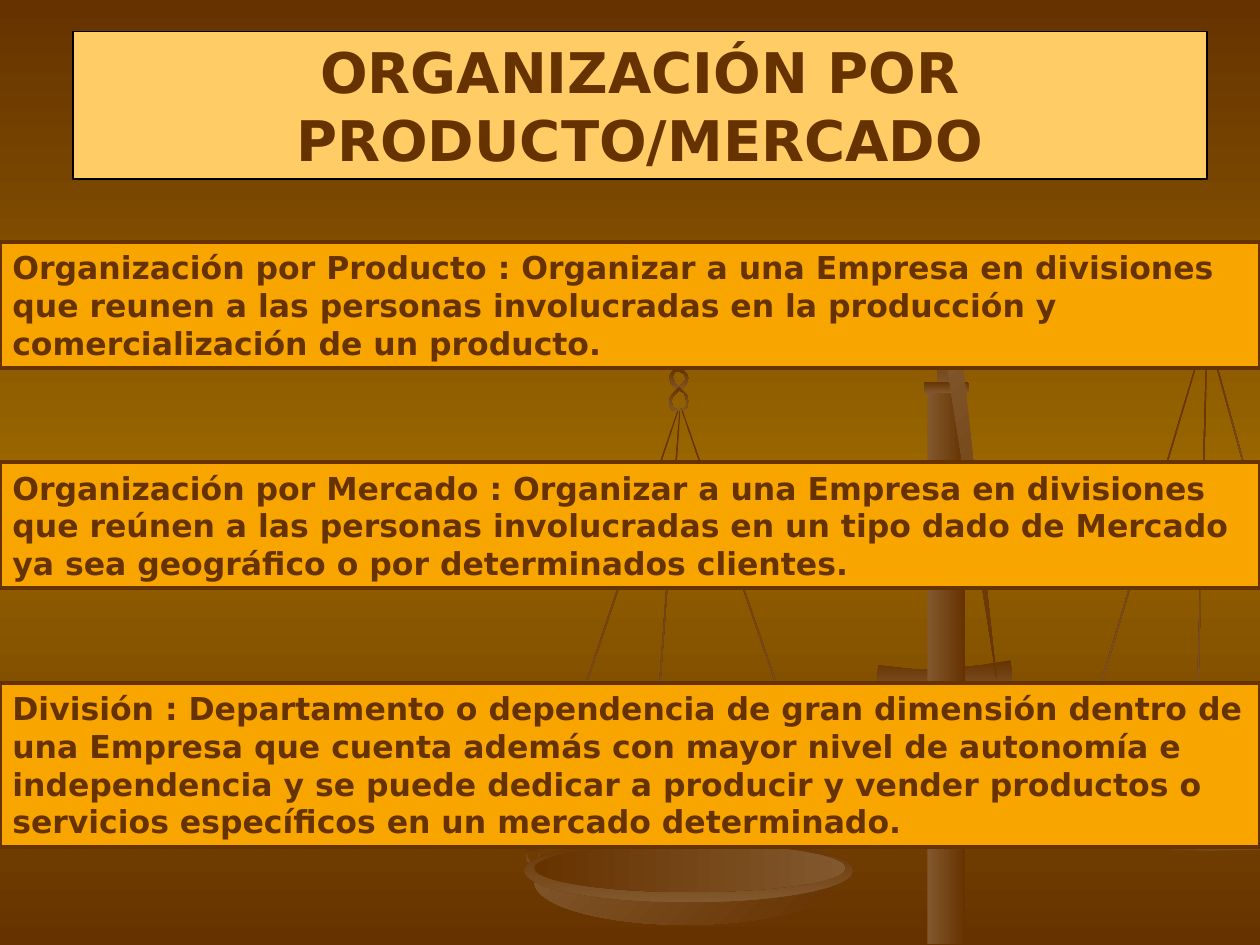
from copy import deepcopy

from pptx import Presentation
from pptx import util as u
from pptx.dml.color import RGBColor
from pptx.enum import shapes, text
from pptx.oxml.ns import qn

PX = u.Inches(1) // 100  # 100 px to the inch
FONT = "DejaVu Sans"
COLORS = {
    "brown": "663300", "tan": "82582E", "olive": "996600",
    "cream": "FFCC66", "orange": "F8A500", "black": "000000",
}
RGB = {name: RGBColor.from_string(value) for name, value in COLORS.items()}
KIND = shapes.MSO_SHAPE


def shade(shape, first, last, angle):
    """Fill with a two-colour gradient; the angle runs clockwise."""
    shape.shadow.inherit = False
    shape.line.fill.background()
    shape.fill.gradient()
    shape.fill.gradient_angle = (360 - angle) % 360
    for stop, name in zip(shape.fill.gradient_stops, (first, last)):
        stop.color.rgb = RGB[name]


def write_box(box, words, size, align, fill, line, width):
    """Style a filled text box and write its one paragraph."""
    box.fill.solid()
    box.fill.fore_color.rgb = RGB[fill]
    box.line.color.rgb = RGB[line]
    box.line.width = u.Pt(width)
    frame = box.text_frame
    frame.text = words
    frame.word_wrap = True
    frame.auto_size = text.MSO_AUTO_SIZE.SHAPE_TO_FIT_TEXT
    frame.vertical_anchor = text.MSO_ANCHOR.TOP
    para = frame.paragraphs[0]
    para.alignment = align
    para.font.name = FONT
    para.font.size = u.Pt(size)
    para.font.bold = True
    para.font.color.rgb = RGB["brown"]


deck = Presentation()
deck.slide_width, deck.slide_height = 1000 * PX, 750 * PX
page = deck.slides.add_slide(deck.slide_layouts[5])

# Background: dark at the top and bottom, lighter in the middle
backdrop = page.background.fill
backdrop.gradient()
backdrop.gradient_angle = 270
stop_list = next(page.background._cSld.iter(qn("a:gsLst")))
stop_list.append(deepcopy(stop_list[-1]))
for stop, place, name in zip(backdrop.gradient_stops, (0, 0.5, 1),
                             ("brown", "olive", "brown")):
    stop.position = place
    stop.color.rgb = RGB[name]

# Scales: cords (left, top, height, rotation)
cords = [
    (904, 260, 360, 16.6), (953, 266, 347, 1.5), (979, 264, 153, 344.6),
    (598, 315, 353, 341), (479, 316, 368, 18.6), (527, 325, 331, 4.2),
]
for left, top, height, turn in cords:
    cord = page.shapes.add_shape(KIND.RECTANGLE, left * PX, top * PX, PX, height * PX)
    cord.rotation = turn
    shade(cord, "brown", "tan", 90)

# Scales: crossbar, right bowl and chain rings (angle, outlines)
outlines = [
    (90, [[(697, 528), (724, 531), (739, 531), (757, 530), (778, 528), (802, 524),
           (804, 544), (782, 548), (768, 551), (751, 552), (733, 552), (714, 551),
           (696, 547)]]),
    (315, [[(831, 633), (835, 642), (842, 649), (852, 657), (865, 663), (882, 668),
            (903, 672), (928, 674), (957, 675), (1000, 674), (1000, 643), (953, 643),
            (918, 642), (886, 640), (857, 637)]]),
    (90, [[(539, 310), (544, 306), (546, 302), (547, 300), (546, 298), (543, 294),
           (538, 293), (535, 293), (533, 295), (531, 300), (533, 305), (536, 308)],
          [(539, 295), (543, 297), (544, 300), (544, 302), (539, 307), (536, 305),
           (535, 302), (534, 299), (536, 295)]]),
    (90, [[(531, 323), (535, 326), (540, 326), (545, 324), (547, 319), (546, 314),
           (543, 311), (539, 307), (535, 311), (532, 315), (531, 318)],
          [(533, 318), (534, 315), (536, 313), (539, 310), (543, 312), (544, 315),
           (545, 319), (545, 322), (543, 324), (538, 325), (534, 323)]]),
    (90, [[(429, 688), (429, 678), (427, 674), (423, 672), (419, 674), (417, 678),
           (418, 683), (422, 686), (426, 688)],
          [(421, 675), (426, 675), (427, 679), (427, 686), (421, 684), (419, 681),
           (419, 677)]]),
]
for angle, contours in outlines:
    pen = page.shapes.build_freeform(*contours[0][0], scale=PX)
    for number, points in enumerate(contours):
        if number:
            pen.move_to(*points[0])
        pen.add_line_segments(points[1:], close=True)
    shade(pen.convert_to_shape(), "brown", "tan", angle)

# Scales: left bowl and post
solids = [
    (KIND.OVAL, 424, 666, 240, 68, "tan", "brown", 45),
    (KIND.OVAL, 416, 666, 261, 50, "brown", "tan", 90),
    (KIND.OVAL, 424, 670, 247, 38, "brown", "tan", 0),
    (KIND.RECTANGLE, 736, 308, 30, 441, "tan", "brown", 0),
    (KIND.RECTANGLE, 744, 268, 13, 42, "brown", "tan", 90),
    (KIND.ROUNDED_RECTANGLE, 733, 303, 36, 9, "brown", "tan", 90),
]
for kind, left, top, width, height, first, last, angle in solids:
    solid = page.shapes.add_shape(kind, left * PX, top * PX, width * PX, height * PX)
    shade(solid, first, last, angle)

# Scales: pointer in front of the post
pen = page.shapes.build_freeform(791, 539, scale=PX)
pen.add_line_segments([(750, 280), (750, 276), (748, 268), (760, 265), (761, 274),
                       (763, 277)], close=True)
shade(pen.convert_to_shape(), "tan", "brown", 45)

# Title
title = page.shapes.title
title.left, title.top, title.width, title.height = 58 * PX, 25 * PX, 900 * PX, 117 * PX
write_box(title, "ORGANIZACIÓN POR PRODUCTO/MERCADO", 32, text.PP_ALIGN.CENTER,
          "cream", "black", 0.75)

# Definitions, one every 175 px
definitions = [
    (100, "Organización por Producto : Organizar a una Empresa en divisiones que reunen "
          "a las personas involucradas en la producción y comercialización de un producto."),
    (100, "Organización por Mercado : Organizar a una Empresa en divisiones que reúnen "
          "a las personas involucradas en un tipo dado de Mercado ya sea geográfico o por "
          "determinados clientes."),
    (130, "División : Departamento o dependencia de gran dimensión dentro de una Empresa "
          "que cuenta además con mayor nivel de autonomía e independencia y se puede "
          "dedicar a producir y vender productos o servicios específicos en un mercado "
          "determinado."),
]
for row, (height, words) in enumerate(definitions):
    box = page.shapes.add_shape(KIND.RECTANGLE, 0, (192 + 175 * row) * PX,
                                1000 * PX, height * PX)
    box.shadow.inherit = False
    write_box(box, words, 18, text.PP_ALIGN.LEFT, "orange", "brown", 2.25)

deck.save("out.pptx")
